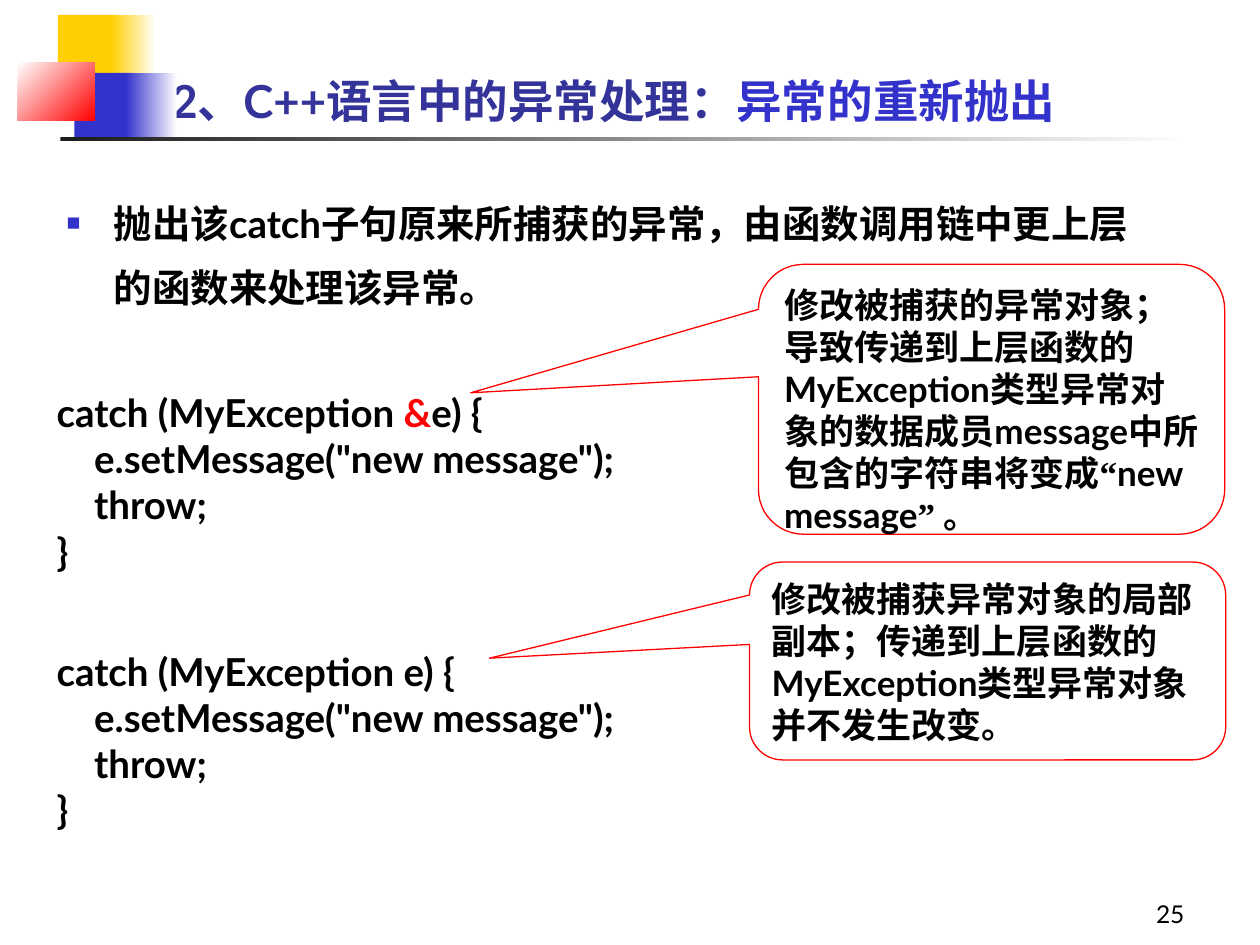
from dataclasses import dataclass
from typing import NamedTuple, Optional

from lxml.etree import SubElement
from pptx import Presentation
from pptx.dml.color import RGBColor
from pptx.enum.shapes import MSO_SHAPE
from pptx.enum.text import MSO_ANCHOR, MSO_AUTO_SIZE, PP_ALIGN
from pptx.oxml.ns import qn
from pptx.util import Cm, Pt

BLACK = RGBColor(0x00, 0x00, 0x00)
WHITE = RGBColor(0xFF, 0xFF, 0xFF)
RED = RGBColor(0xFF, 0x00, 0x00)
GOLD = RGBColor(0xFF, 0xCF, 0x01)
BLUE = RGBColor(0x33, 0x33, 0xCC)
NAVY = RGBColor(0x33, 0x33, 0x99)
DARK = RGBColor(0x1C, 0x1C, 0x1C)
SANS, SERIF = "Lato", "Times New Roman"


class Box(NamedTuple):
    left: float
    top: float
    width: float
    height: float

    def cm(self) -> list:
        return [Cm(n) for n in self]


class Run(NamedTuple):
    text: str
    color: RGBColor = BLACK
    font: str = SANS


@dataclass
class Block:
    box: Box
    start: RGBColor
    end: Optional[RGBColor] = None
    angle: int = 0


@dataclass
class Code:
    box: Box
    head: list


@dataclass
class Callout:
    box: Box
    tip: tuple
    runs: list


BLOCKS = [
    Block(Box(1.17, 0.3, 1.22, 1.32), GOLD),
    Block(Box(2.24, 0.3, 0.91, 1.32), GOLD, WHITE),
    Block(Box(1.5, 1.47, 1.17, 1.32), BLUE),
    Block(Box(2.54, 1.47, 1.02, 1.32), BLUE, WHITE),
    Block(Box(0.36, 1.27, 1.55, 1.17), WHITE, RED, 315),
    Block(Box(1.22, 2.77, 22.86, 0.08), DARK, WHITE),
]

CODES = [
    Code(Box(0.89, 7.72, 13.79, 4.19),
         [Run("catch (MyException "), Run("&", RED), Run("e) {")]),
    Code(Box(0.89, 12.93, 14, 4.39), [Run("catch (MyException e) {")]),
]

CALLOUTS = [
    Callout(Box(15.29, 5.33, 9.4, 5.44), (-1.117, -0.024), [
        Run("修改被捕获的异常对象；导致传递到上层函数的MyException类型异常对象的"
            "数据成员message中所包含的字符串将变成"),
        Run("“", font=SERIF), Run("new message"),
        Run("” ", font=SERIF), Run("。")]),
    Callout(Box(15.11, 11.33, 9.6, 3.99), (-1.046, -0.014), [
        Run("修改被捕获异常对象的局部副本；传递到上层函数的MyException类型"
            "异常对象并不发生改变。")]),
]


def put(frame, lines: list, size: float, bold: bool = True,
        align=PP_ALIGN.LEFT, anchor=MSO_ANCHOR.TOP) -> None:
    """Fill a text frame with lines, each a list of runs."""
    frame.word_wrap = True
    frame.auto_size = MSO_AUTO_SIZE.NONE
    frame.vertical_anchor = anchor
    for i, line in enumerate(lines):
        para = frame.paragraphs[0] if i == 0 else frame.add_paragraph()
        para.alignment = align
        for part in line:
            run = para.add_run()
            run.text = part.text
            font = run.font
            font.size, font.bold, font.name = Pt(size), bold, part.font
            font.color.rgb = part.color
            SubElement(font._element, qn("a:ea"), typeface=part.font)


def indent(para, left: float, first: float = 0) -> None:
    props = para._p.get_or_add_pPr()
    props.set("marL", str(Cm(left)))
    props.set("indent", str(Cm(first)))


def bullet(para, char: str, color: RGBColor, scale: int) -> None:
    props = para._p.get_or_add_pPr()
    tint = SubElement(props, qn("a:buClr"))
    SubElement(tint, qn("a:srgbClr"), val=str(color))
    SubElement(props, qn("a:buSzPct"), val=str(scale * 1000))
    SubElement(props, qn("a:buChar"), char=char)


def place(shape, box: Box) -> None:
    shape.left, shape.top, shape.width, shape.height = box.cm()


def draw_block(slide, block: Block) -> None:
    shape = slide.shapes.add_shape(MSO_SHAPE.RECTANGLE, *block.box.cm())
    shape.shadow.inherit = False
    shape.line.fill.background()
    fill = shape.fill
    if block.end is None:
        fill.solid()
        fill.fore_color.rgb = block.start
        return
    fill.gradient()
    fill.gradient_angle = block.angle
    for stop, color in zip(fill.gradient_stops, (block.start, block.end)):
        stop.color.rgb = color


def draw_code(slide, code: Code) -> None:
    frame = slide.shapes.add_textbox(*code.box.cm()).text_frame
    inner = [[Run('e.setMessage("new message");')], [Run("throw;")]]
    put(frame, [code.head, *inner, [Run("}")]], size=22)
    for para in frame.paragraphs[1:-1]:
        indent(para, 0.76)


def draw_callout(slide, note: Callout) -> None:
    shape = slide.shapes.add_shape(
        MSO_SHAPE.ROUNDED_RECTANGULAR_CALLOUT, *note.box.cm())
    shape.shadow.inherit = False
    shape.adjustments[0], shape.adjustments[1] = note.tip
    shape.adjustments[2] = 0.167
    shape.fill.background()
    shape.line.color.rgb = RED
    shape.line.width = Pt(0.75)
    put(shape.text_frame, [note.runs], size=20)


def main() -> None:
    deck = Presentation()
    deck.slide_width, deck.slide_height = Cm(25.4), Cm(19.05)
    slide = deck.slides.add_slide(deck.slide_layouts[1])

    # Corner blocks and title rule
    for block in BLOCKS:
        draw_block(slide, block)

    # Title
    title = slide.shapes.title
    place(title, Box(3.2, 1.12, 21.64, 1.57))
    put(title.text_frame, [[Run("2、C++语言中的异常处理：", NAVY),
                            Run("异常的重新抛出", BLUE)]],
        size=26, anchor=MSO_ANCHOR.BOTTOM)

    # Bulleted statement
    body = slide.placeholders[1]
    place(body, Box(1.09, 3.53, 22.38, 13.08))
    put(body.text_frame, [[Run("抛出该catch子句原来所捕获的异常，由函数调用链中"
                               "更上层的函数来处理该异常。")]], size=22)
    para = body.text_frame.paragraphs[0]
    para.line_spacing, para.space_before = 1.4, Pt(2.8)
    indent(para, 0.95, -0.95)
    bullet(para, "■", BLUE, 60)

    # Code samples and their remarks
    for code in CODES:
        draw_code(slide, code)
    for note in CALLOUTS:
        draw_callout(slide, note)

    # Page number
    page = slide.shapes.add_textbox(*Box(18.85, 17.58, 5.28, 1.27).cm())
    put(page.text_frame, [[Run("25")]], size=14, bold=False,
        align=PP_ALIGN.RIGHT, anchor=MSO_ANCHOR.BOTTOM)

    deck.save("out.pptx")


if __name__ == "__main__":
    main()
